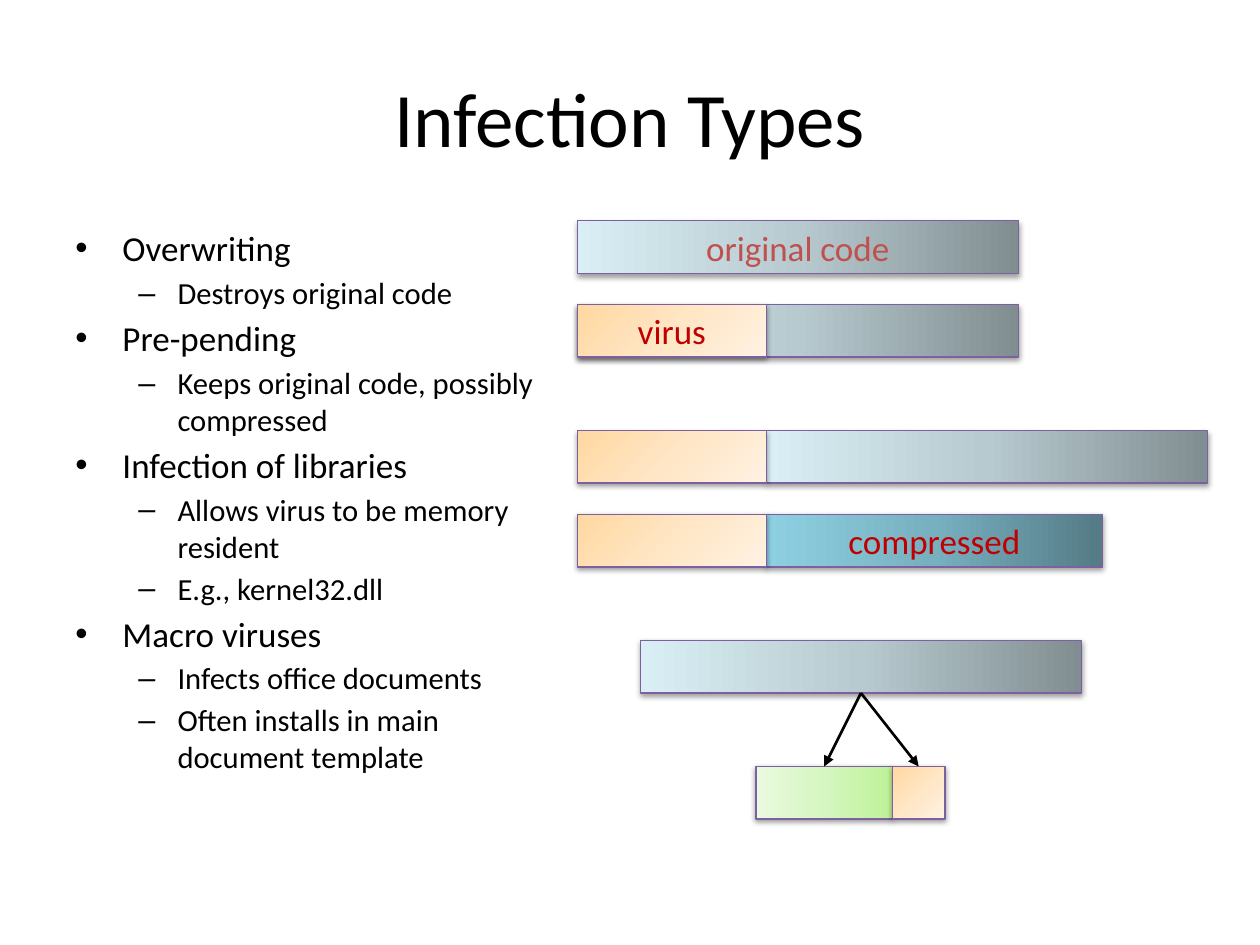
import copy

import pptx
import pptx.dml.color
import pptx.enum.shapes
import pptx.enum.text
import pptx.oxml
import pptx.oxml.ns
import pptx.util
from pptx.util import Cm

FONT = "Calibri"
COLORS = {
    "text": "000000",
    "outline": "7D60A0",
    "virus_label": "C00000",
    "code_label": "C0504D",
}
GRADIENTS = {
    "code": (("818E91", "B7CACF", "D9EFF5"), 180),
    "virus": (("FFD8A0", "FFE6C5", "FFF2E3"), 45),
    "compressed": (("547B86", "77B0BF", "8DD0E2"), 180),
    "document": (("BEF297", "D5F6C0", "EAFAE0"), 180),
}
BAR_LEFT = 11.64
BAR_HEIGHT = 1.06
CODE_WIDTH = 8.89
VIRUS_WIDTH = 3.81
HOST_LEFT = BAR_LEFT + VIRUS_WIDTH
LEVELS = (
    {"bullet": "•", "margin": 0.95, "hanging": 0.95, "size": 20, "space": 3.4},
    {"bullet": "–", "margin": 2.06, "hanging": 0.79, "size": 17.5, "space": 3},
)
OUTLINE = (
    (0, "Overwriting"),
    (1, "Destroys original code"),
    (0, "Pre-pending"),
    (1, "Keeps original code, possibly compressed"),
    (0, "Infection of libraries"),
    (1, "Allows virus to be memory resident"),
    (1, "E.g., kernel32.dll"),
    (0, "Macro viruses"),
    (1, "Infects office documents"),
    (1, "Often installs in main document template"),
)


def rgb(hex_color):
    return pptx.dml.color.RGBColor.from_string(hex_color)


def append_xml(parent, tag, attributes="", content=""):
    namespace = pptx.oxml.ns.nsdecls("a")
    element = pptx.oxml.parse_xml(
        f"<a:{tag} {namespace} {attributes}>{content}</a:{tag}>"
    )
    parent.append(element)
    return element


def format_runs(paragraph, size, color):
    for run in paragraph.runs:
        run.font.name = FONT
        run.font.size = pptx.util.Pt(size)
        run.font.color.rgb = rgb(color)


def add_text_box(slide, left, top, width, height):
    shape = slide.shapes.add_textbox(Cm(left), Cm(top), Cm(width), Cm(height))
    shape.text_frame.word_wrap = True
    return shape.text_frame


def add_title(slide, text):
    text_frame = add_text_box(slide, 1.27, 0.76, 22.86, 3.18)
    text_frame.vertical_anchor = pptx.enum.text.MSO_ANCHOR.MIDDLE
    text_frame.text = text
    paragraph = text_frame.paragraphs[0]
    paragraph.alignment = pptx.enum.text.PP_ALIGN.CENTER
    format_runs(paragraph, 44, COLORS["text"])


def add_outline(slide, items):
    text_frame = add_text_box(slide, 1.27, 4.45, 10.36, 12.9)
    text_frame.text = "\n".join(text for _, text in items)
    for index, (level, _) in enumerate(items):
        paragraph = text_frame.paragraphs[index]
        style = LEVELS[level]
        paragraph.level = level
        paragraph.space_before = pptx.util.Pt(style["space"] if index else 0)
        properties = paragraph._p.get_or_add_pPr()
        properties.set("marL", str(Cm(style["margin"])))
        properties.set("indent", str(-Cm(style["hanging"])))
        append_xml(properties, "buFont", 'typeface="Arial"')
        append_xml(properties, "buChar", f'char="{style["bullet"]}"')
        format_runs(paragraph, style["size"], COLORS["text"])


def fill_gradient(shape, name):
    colors, angle = GRADIENTS[name]
    fill = shape.fill
    fill.gradient()
    fill.gradient_angle = 360 - angle
    first_stop = shape._element.spPr.find(".//" + pptx.oxml.ns.qn("a:gs"))
    first_stop.addnext(copy.deepcopy(first_stop))
    for index, stop in enumerate(fill.gradient_stops):
        stop.position = index / 2
        stop.color.rgb = rgb(colors[index])


def add_shadow(shape):
    shape.shadow.inherit = False
    effects = shape._element.spPr.find(pptx.oxml.ns.qn("a:effectLst"))
    append_xml(
        effects,
        "outerShdw",
        'blurRad="40000" dist="20000" dir="5400000" rotWithShape="0"',
        '<a:srgbClr val="000000"><a:alpha val="38000"/></a:srgbClr>',
    )


def add_bar(slide, gradient, left, top, width, label="", label_color="virus_label"):
    shape = slide.shapes.add_shape(
        pptx.enum.shapes.MSO_SHAPE.RECTANGLE,
        Cm(left), Cm(top), Cm(width), Cm(BAR_HEIGHT),
    )
    fill_gradient(shape, gradient)
    shape.line.color.rgb = rgb(COLORS["outline"])
    shape.line.width = pptx.util.Pt(0.75)
    add_shadow(shape)
    if label:
        shape.text_frame.text = label
        shape.text_frame.vertical_anchor = pptx.enum.text.MSO_ANCHOR.MIDDLE
        paragraph = shape.text_frame.paragraphs[0]
        paragraph.alignment = pptx.enum.text.PP_ALIGN.CENTER
        format_runs(paragraph, 20, COLORS[label_color])
    return shape


def add_arrow(slide, source, target):
    connector = slide.shapes.add_connector(
        pptx.enum.shapes.MSO_CONNECTOR.STRAIGHT, 0, 0, 0, 0
    )
    connector.begin_connect(source, 2)
    connector.end_connect(target, 0)
    connector.line.color.rgb = rgb(COLORS["text"])
    connector.line.width = pptx.util.Pt(1.5)
    append_xml(connector.line._get_or_add_ln(), "tailEnd", 'type="triangle"')
    append_xml(connector._element.spPr, "effectLst")


def main():
    presentation = pptx.Presentation()
    presentation.slide_width = Cm(25.4)
    presentation.slide_height = Cm(19.05)
    slide = presentation.slides.add_slide(presentation.slide_layouts[6])

    add_title(slide, "Infection Types")
    add_outline(slide, OUTLINE)

    add_bar(slide, "code", BAR_LEFT, 4.45, CODE_WIDTH, "original code", "code_label")
    add_bar(slide, "code", BAR_LEFT, 6.14, CODE_WIDTH)
    add_bar(slide, "code", HOST_LEFT, 8.68, CODE_WIDTH)
    add_bar(slide, "compressed", HOST_LEFT, 10.37, 6.77, "compressed")
    for top, label in ((6.14, "virus"), (8.68, ""), (10.37, "")):
        add_bar(slide, "virus", BAR_LEFT, top, VIRUS_WIDTH, label)

    macro_host = add_bar(slide, "code", 12.91, 12.91, CODE_WIDTH)
    document = add_bar(slide, "document", 15.24, 15.45, 2.75)
    macro_virus = add_bar(slide, "virus", 17.99, 15.45, BAR_HEIGHT)
    for target in (document, macro_virus):
        add_arrow(slide, macro_host, target)

    presentation.save("out.pptx")


if __name__ == "__main__":
    main()
